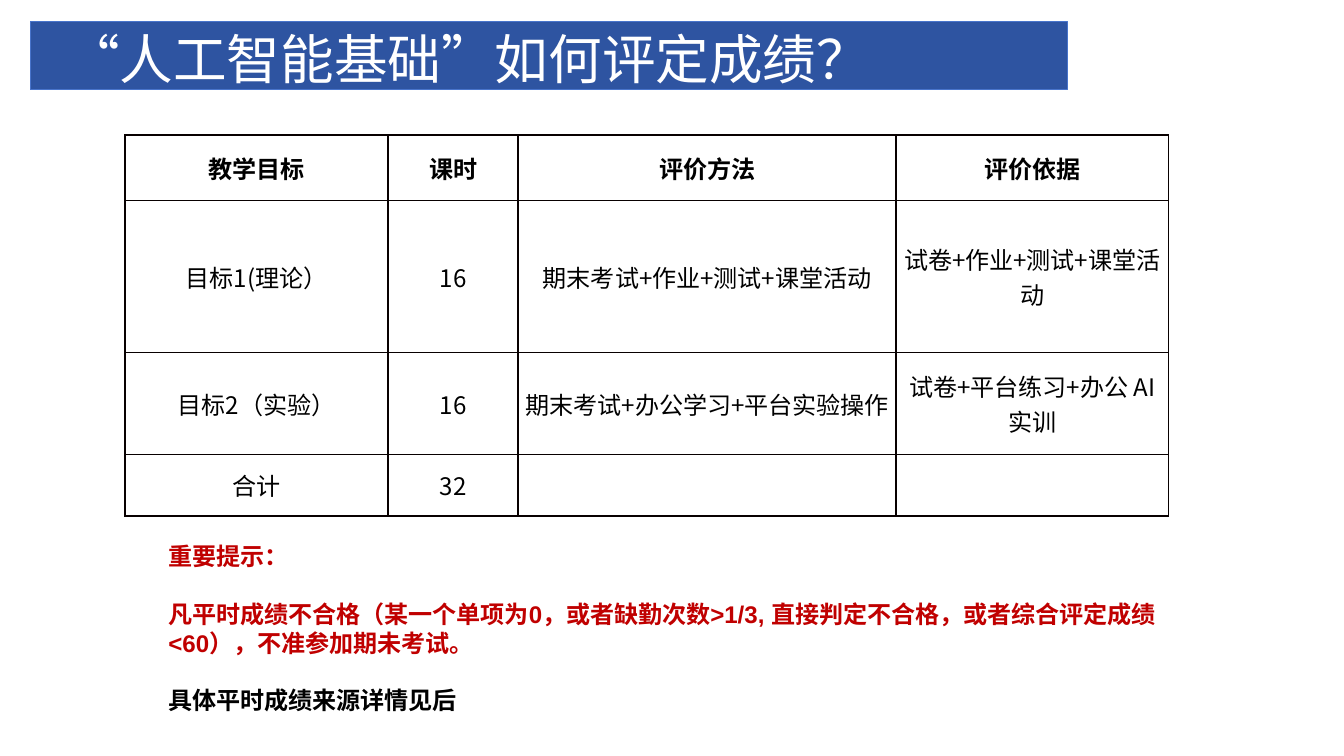
from lxml.etree import SubElement
from pptx import Presentation
from pptx.dml.color import RGBColor
from pptx.enum.shapes import MSO_SHAPE
from pptx.enum.text import MSO_ANCHOR, PP_ALIGN
from pptx.oxml.ns import qn
from pptx.util import Pt

WHITE = RGBColor(0xFF, 0xFF, 0xFF)
BLACK = RGBColor(0, 0, 0)
RED = RGBColor(0xC0, 0, 0)
BANNER_FILL = RGBColor(0x2E, 0x54, 0xA1)
BANNER_LINE = RGBColor(0x48, 0x74, 0xCB)
BORDER = RGBColor(0x08, 0, 0)
SANS, ARIAL = "Noto Sans CJK SC", "Arial"

TITLE = "“人工智能基础”如何评定成绩？"
COLUMN_WIDTHS = [187.9, 92.9, 270, 194.4]
ROW_HEIGHTS = [46.8, 108.7, 72.7, 43.9]
GRADING = [
    ["教学目标", "课时", "评价方法", "评价依据"],
    ["目标1(理论）", "16", "期末考试+作业+测试+课堂活动", "试卷+作业+测试+课堂活动"],
    ["目标2（实验）", "16", "期末考试+办公学习+平台实验操作", "试卷+平台练习+办公 AI实训"],
    ["合计", "32", "", ""],
]
NOTES = [
    ("重要提示：", RED),
    ("凡平时成绩不合格（某一个单项为0，或者缺勤次数>1/3, 直接判定不合格，"
     "或者综合评定成绩 <60），不准参加期未考试。", RED),
    ("具体平时成绩来源详情见后", BLACK),
]


def set_format(target, values):
    for name, value in values.items():
        setattr(target, name, value)


def set_margins(target, left, top, right, bottom):
    set_format(target, {"margin_left": Pt(left), "margin_top": Pt(top),
                        "margin_right": Pt(right), "margin_bottom": Pt(bottom)})


def write(para, text, size, font, color, bold=False):
    span = para.add_run()
    span.text = text
    set_format(span.font, {"size": Pt(size), "name": font, "bold": bold})
    span.font.color.rgb = color
    # East Asian characters take their font from a separate element
    SubElement(span.font._element, qn("a:ea"), typeface=font)


def add_border(cell):
    properties = cell._tc.get_or_add_tcPr()
    for index, side in enumerate(("a:lnL", "a:lnR", "a:lnT", "a:lnB")):
        line = properties.makeelement(qn(side), {"w": str(Pt(1))})
        fill = SubElement(line, qn("a:solidFill"))
        SubElement(fill, qn("a:srgbClr"), val=str(BORDER))
        properties.insert(index, line)


def add_banner(page, left, top, width, height):
    banner = page.shapes.add_shape(MSO_SHAPE.RECTANGLE, Pt(left), Pt(top), Pt(width), Pt(height))
    banner.shadow.inherit = False
    banner.fill.solid()
    banner.fill.fore_color.rgb = BANNER_FILL
    banner.line.color.rgb = BANNER_LINE
    banner.line.width = Pt(0.75)
    frame = banner.text_frame
    set_margins(frame, 25.7, 4.3, 0, 0)
    set_format(frame, {"word_wrap": True, "vertical_anchor": MSO_ANCHOR.BOTTOM})
    para = frame.paragraphs[0]
    para.alignment = PP_ALIGN.LEFT
    write(para, TITLE, 38.3, SANS, WHITE)


def add_grading_table(page, left, top):
    table = page.shapes.add_table(
        len(ROW_HEIGHTS), len(COLUMN_WIDTHS), Pt(left), Pt(top),
        Pt(sum(COLUMN_WIDTHS)), Pt(sum(ROW_HEIGHTS))).table
    set_format(table, {"first_row": False, "horz_banding": False})
    for column, width in zip(table.columns, COLUMN_WIDTHS):
        column.width = Pt(width)
    for index, (row, height) in enumerate(zip(table.rows, ROW_HEIGHTS)):
        row.height = Pt(height)
        for cell, text in zip(row.cells, GRADING[index]):
            set_margins(cell, 5, 0, 5, 0)
            cell.vertical_anchor = MSO_ANCHOR.MIDDLE
            cell.fill.background()
            add_border(cell)
            para = cell.text_frame.paragraphs[0]
            para.alignment = PP_ALIGN.CENTER
            if text:
                write(para, text, 17.2, SANS, BLACK, bold=index == 0)


def add_notes(page, left, top, width, height):
    box = page.shapes.add_textbox(Pt(left), Pt(top), Pt(width), Pt(height))
    frame = box.text_frame
    frame.word_wrap = True
    set_margins(frame, 9.4, 4.3, 9.4, 4.3)
    for index, (text, color) in enumerate(NOTES):
        para = frame.add_paragraph() if index else frame.paragraphs[0]
        para.space_before = Pt(20.7 if index else 0)
        write(para, text, 17.2, ARIAL, color, bold=True)


def main():
    deck = Presentation()
    set_format(deck, {"slide_width": Pt(960), "slide_height": Pt(540)})
    page = deck.slides.add_slide(deck.slide_layouts[6])
    # Notes below the table, title banner, grading table
    add_notes(page, 110.9, 382.3, 738, 156.2)
    add_banner(page, 21.6, 15.1, 740.9, 49)
    add_grading_table(page, 89.3, 96.5)
    deck.save("out.pptx")


if __name__ == "__main__":
    main()
